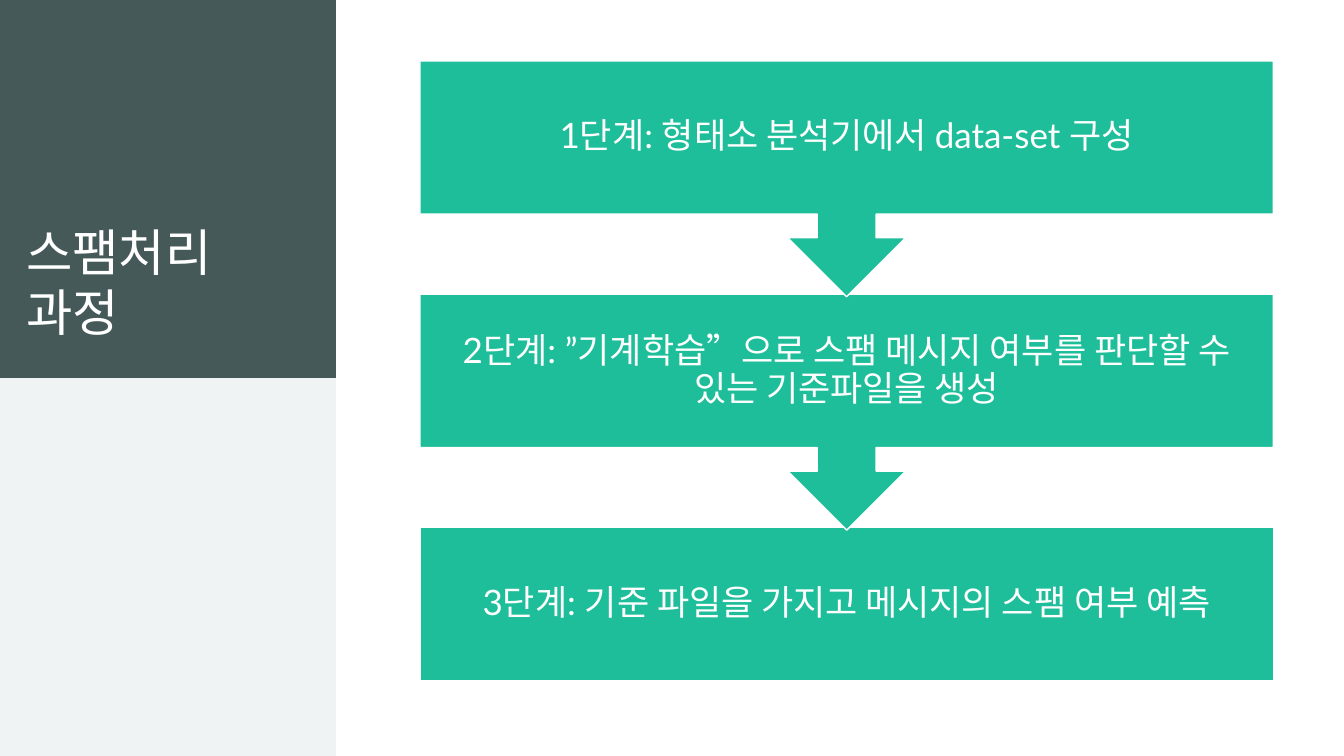
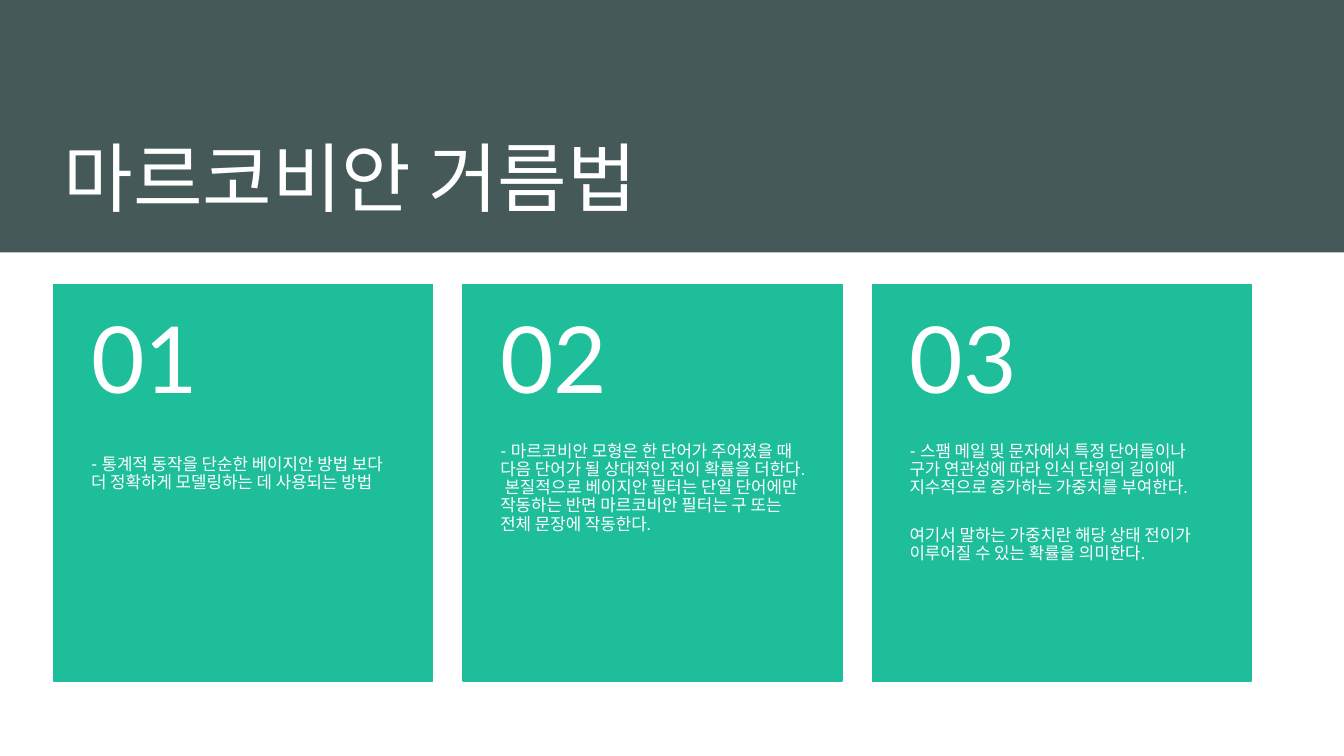
from dataclasses import dataclass

from pptx import Presentation
from pptx.dml.color import RGBColor
from pptx.enum.shapes import MSO_SHAPE
from pptx.enum.text import MSO_ANCHOR, PP_ALIGN
from pptx.presentation import Presentation as Deck
from pptx.shapes.autoshape import Shape
from pptx.slide import Slide
from pptx.util import Inches, Pt

RECTANGLE = MSO_SHAPE.RECTANGLE
DOWN_CALLOUT = MSO_SHAPE.DOWN_ARROW_CALLOUT
TOP, MIDDLE, BOTTOM = MSO_ANCHOR.TOP, MSO_ANCHOR.MIDDLE, MSO_ANCHOR.BOTTOM
LEFT, CENTER = PP_ALIGN.LEFT, PP_ALIGN.CENTER
SLIDE_WIDTH, SLIDE_HEIGHT = Inches(13.33), Inches(7.5)
BLANK_LAYOUT = 6


@dataclass(frozen=True)
class Theme:
    dark: str = "465959"
    accent: str = "1EBE9B"
    pale: str = "F0F3F3"
    white: str = "FFFFFF"
    title_font: str = "Arial"
    body_font: str = "Lato"
    side_title_size: int = 36
    title_size: int = 54
    number_size: int = 66
    step_size: int = 25
    card_size: int = 12
    card_gap: int = 21


@dataclass(frozen=True)
class Area:
    """Percentages of the slide's width and height."""
    left: float
    top: float
    width: float
    height: float


@dataclass(frozen=True)
class TextStyle:
    font: str
    size: int
    anchor: MSO_ANCHOR = TOP
    align: PP_ALIGN = LEFT
    line_spacing: float = 1.0
    gap: int = 0
    insets: tuple[float, float, float, float] = (0.1, 0.05, 0.1, 0.05)


@dataclass(frozen=True)
class Card:
    number: str
    paragraphs: tuple[str, ...]
    top_inset: float = 0


THEME = Theme()
SIDE_TITLE = TextStyle(THEME.title_font, THEME.side_title_size, BOTTOM)
BAND_TITLE = TextStyle(THEME.title_font, THEME.title_size, BOTTOM)
STEP_TEXT = TextStyle(THEME.body_font, THEME.step_size, MIDDLE, CENTER, 0.9,
                      insets=(0.19, 0.19, 0.19, 0.19))
NUMBER_TEXT = TextStyle(THEME.body_font, THEME.number_size, MIDDLE,
                        line_spacing=0.9, insets=(0.37, 0.18, 0.37, 0.18))

STEPS = (
    "1단계: 형태소 분석기에서 data-set 구성",
    "2단계: ”기계학습”으로 스팸 메시지 여부를 판단할 수 있는 기준파일을 생성",
    "3단계: 기준 파일을 가지고 메시지의 스팸 여부 예측",
)
STEP_AREA = Area(31.25, 8.05, 63.5, 20.27)
STEP_PITCH = 30.87
CALLOUT_HEIGHT = 31.2

CARDS = (
    Card("01", ("- 통계적 동작을 단순한 베이지안 방법 보다 더 정확하게 모델링하는 데 사용되는 방법",), 0.26),
    Card("02", ("- 마르코비안 모형은 한 단어가 주어졌을 때 다음 단어가 될 상대적인 전이 확률을 더한다. "
                "본질적으로 베이지안 필터는 단일 단어에만 작동하는 반면 마르코비안 필터는 "
                "구 또는 전체 문장에 작동한다.",)),
    Card("03", ("- 스팸 메일 및 문자에서 특정 단어들이나 구가 연관성에 따라 인식 단위의 길이에 "
                "지수적으로 증가하는 가중치를 부여한다.",
                "여기서 말하는 가중치란 해당 상태 전이가 이루어질 수 있는 확률을 의미한다.")),
)
CARD_AREA = Area(4, 37.6, 28.2, 52.5)
CARD_PITCH = 30.45
NUMBER_SHARE = 0.4


def bounds(area: Area) -> tuple[int, int, int, int]:
    return (round(SLIDE_WIDTH * area.left / 100), round(SLIDE_HEIGHT * area.top / 100),
            round(SLIDE_WIDTH * area.width / 100), round(SLIDE_HEIGHT * area.height / 100))


def add_block(page: Slide, area: Area, fill: str, line: str = "",
              kind: MSO_SHAPE = RECTANGLE) -> Shape:
    block = page.shapes.add_shape(kind, *bounds(area))
    block.shadow.inherit = False
    block.fill.solid()
    block.fill.fore_color.rgb = RGBColor.from_string(fill)
    if line:
        block.line.color.rgb = RGBColor.from_string(line)
        block.line.width = Pt(1)
    else:
        block.line.fill.background()
    return block


def write(box: Shape, paragraphs: tuple[str, ...], style: TextStyle) -> None:
    frame = box.text_frame
    frame.word_wrap = True
    frame.vertical_anchor = style.anchor
    (frame.margin_left, frame.margin_top,
     frame.margin_right, frame.margin_bottom) = map(Inches, style.insets)
    for index, text in enumerate(paragraphs):
        para = frame.add_paragraph() if index else frame.paragraphs[0]
        para.alignment = style.align
        para.line_spacing = style.line_spacing
        if index:
            para.space_before = Pt(style.gap)
        span = para.add_run()
        span.text = text
        span.font.name = style.font
        span.font.size = Pt(style.size)
        span.font.color.rgb = RGBColor.from_string(THEME.white)


def add_text(page: Slide, area: Area, paragraphs: tuple[str, ...], style: TextStyle) -> None:
    write(page.shapes.add_textbox(*bounds(area)), paragraphs, style)


def add_titled_page(deck: Deck, band: Area, title_area: Area,
                    title: str, style: TextStyle) -> Slide:
    page = deck.slides.add_slide(deck.slide_layouts[BLANK_LAYOUT])
    add_block(page, band, THEME.dark)
    add_text(page, title_area, (title,), style)
    return page


def add_step(page: Slide, index: int) -> None:
    is_last = index == len(STEPS) - 1
    area = Area(STEP_AREA.left, STEP_AREA.top + index * STEP_PITCH, STEP_AREA.width,
                STEP_AREA.height if is_last else CALLOUT_HEIGHT)
    kind = RECTANGLE if is_last else DOWN_CALLOUT
    box = add_block(page, area, THEME.accent, THEME.white, kind)
    write(box, (STEPS[index],), STEP_TEXT)


def add_card(page: Slide, index: int, card: Card) -> None:
    left = CARD_AREA.left + index * CARD_PITCH
    top, width, height = CARD_AREA.top, CARD_AREA.width, CARD_AREA.height
    number_height = height * NUMBER_SHARE
    add_block(page, Area(left, top, width, height), THEME.accent, THEME.accent)
    body = TextStyle(THEME.body_font, THEME.card_size, line_spacing=0.9, gap=THEME.card_gap,
                     insets=(0.37, card.top_inset, 0.37, 0.36))
    add_text(page, Area(left, top + number_height, width, height - number_height),
             card.paragraphs, body)
    add_text(page, Area(left, top, width, number_height), (card.number,), NUMBER_TEXT)


def build_process_page(deck: Deck) -> None:
    page = add_titled_page(deck, Area(0, 0, 25, 50), Area(1.2, 5.33, 22.05, 40.53),
                           "스팸처리 과정", SIDE_TITLE)
    add_block(page, Area(0, 50, 25, 50), THEME.pale)
    for index in reversed(range(len(STEPS))):
        add_step(page, index)


def build_filter_page(deck: Deck) -> None:
    page = add_titled_page(deck, Area(0, 0, 100, 33.4), Area(4, 5.33, 89.2, 24.67),
                           "마르코비안 거름법", BAND_TITLE)
    for index, card in enumerate(CARDS):
        add_card(page, index, card)


def main() -> None:
    deck = Presentation()
    deck.slide_width, deck.slide_height = SLIDE_WIDTH, SLIDE_HEIGHT
    build_process_page(deck)
    build_filter_page(deck)
    deck.save("out.pptx")


if __name__ == "__main__":
    main()
